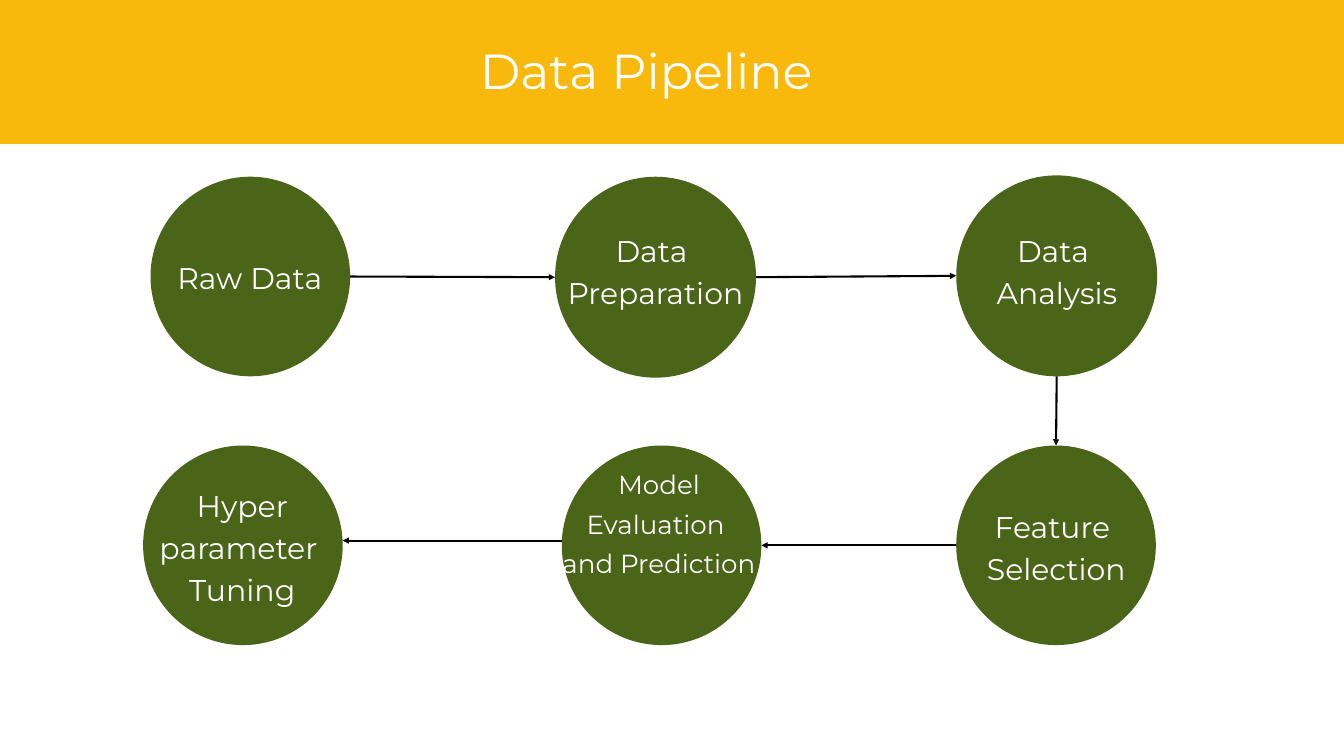
from dataclasses import dataclass

from lxml import etree
from pptx import Presentation
from pptx.dml.color import RGBColor
from pptx.enum.shapes import MSO_CONNECTOR, MSO_SHAPE
from pptx.enum.text import PP_ALIGN
from pptx.oxml.ns import qn
from pptx.util import Inches, Pt

RECTANGLE, OVAL = MSO_SHAPE.RECTANGLE, MSO_SHAPE.OVAL
STRAIGHT = MSO_CONNECTOR.STRAIGHT
LEFT, CENTER = PP_ALIGN.LEFT, PP_ALIGN.CENTER

COLORS = {"banner": "F9B80C", "stage": "4A6418", "text": "FFFFFF", "arrow": "000000"}
FONT = "Montserrat"


@dataclass
class Stage:
    """A pipeline step; label_box is relative to the circle's top left."""
    label: str
    left: float
    top: float
    diameter: float
    label_box: tuple
    size: float = 32
    spacing: float = 45.1

    def edge(self, side, rise=0):
        """Return the point of the circle on the given side."""
        across, down = {"left": (0, 0.5), "right": (1, 0.5),
                        "top": (0.5, 0), "bottom": (0.5, 1)}[side]
        return (self.left + across * self.diameter,
                self.top + down * self.diameter - rise)


STAGES = {
    "raw": Stage("Raw Data", 2.24, 2.63, 2.97, (0.34, 1.14, 2.28, 0.6), spacing=45.4),
    "preparation": Stage("Data \nPreparation", 8.26, 2.63, 2.99, (0.1, 0.74, 2.79, 1.22)),
    "analysis": Stage("Data \nAnalysis", 14.23, 2.61, 2.99, (0.53, 0.76, 1.94, 1.22)),
    "features": Stage("Feature \nSelection", 14.23, 6.63, 2.97, (0.4, 0.84, 2.18, 1.22)),
    "model": Stage("Model Evaluation \nand Prediction", 8.36, 6.63, 2.97,
                   (0, 0.22, 2.89, 2.31), size=28, spacing=42.3),
    "tuning": Stage("Hyper\nparameter \nTuning", 2.13, 6.63, 2.97,
                    (0.2, 0.53, 2.55, 2.47), size=32.2),
}
LINKS = [
    ("raw", "right", "preparation", "left", 0),
    ("preparation", "right", "analysis", "left", 0),
    ("analysis", "bottom", "features", "top", 0),
    ("features", "left", "model", "right", 0),
    ("model", "left", "tuning", "right", 0.07),
]


def add_text(slide, text, box, *, size, spacing, align=CENTER, color="text"):
    """Add a text box with one paragraph for each line of text."""
    frame = slide.shapes.add_textbox(*map(Inches, box)).text_frame
    frame.word_wrap = True
    frame.margin_left = frame.margin_right = frame.margin_top = frame.margin_bottom = 0
    frame.text = text
    for paragraph in frame.paragraphs:
        paragraph.alignment = align
        paragraph.line_spacing = Pt(spacing)
        font = paragraph.runs[0].font
        font.name, font.size = FONT, Pt(size)
        font.color.rgb = RGBColor.from_string(COLORS[color])


def add_filled(slide, kind, box, color):
    """Add a preset shape with a plain fill and no outline."""
    shape = slide.shapes.add_shape(kind, *map(Inches, box))
    shape.shadow.inherit = False
    shape.fill.solid()
    shape.fill.fore_color.rgb = RGBColor.from_string(COLORS[color])
    shape.line.fill.background()


def add_arrow(slide, start, end):
    """Add a straight line with a triangle head at its end."""
    arrow = slide.shapes.add_connector(STRAIGHT, *map(Inches, start + end))
    arrow.line.width = Pt(2.25)
    arrow.line.color.rgb = RGBColor.from_string(COLORS["arrow"])
    etree.SubElement(arrow.line._get_or_add_ln(), qn("a:tailEnd"), type="triangle")
    etree.SubElement(arrow._element.spPr, qn("a:effectLst"))


def add_banner(slide, left, top, width, height):
    """Draw the title band across the top."""
    add_filled(slide, RECTANGLE, (left, top, width, height), "banner")
    add_text(slide, "Data Pipeline", (left + 7.14, top + 0.84, 5.64, 0.69),
             size=52.7, spacing=46.3, align=LEFT)


def add_stage(slide, stage):
    """Draw one circle with its label."""
    add_filled(slide, OVAL, (stage.left, stage.top, stage.diameter, stage.diameter), "stage")
    dx, dy, width, height = stage.label_box
    add_text(slide, stage.label, (stage.left + dx, stage.top + dy, width, height),
             size=stage.size, spacing=stage.spacing)


def add_pipeline(slide):
    """Draw every stage and the arrows between them."""
    for stage in STAGES.values():
        add_stage(slide, stage)
    for source, exit_side, target, entry_side, rise in LINKS:
        add_arrow(slide, STAGES[source].edge(exit_side, rise),
                  STAGES[target].edge(entry_side, rise))


def main():
    """Build and save the slide."""
    presentation = Presentation()
    presentation.slide_width, presentation.slide_height = Inches(20), Inches(11.25)
    slide = presentation.slides.add_slide(presentation.slide_layouts[6])
    add_banner(slide, 0, 0, 20, 2.14)
    add_pipeline(slide)
    presentation.save("out.pptx")


if __name__ == "__main__":
    main()
